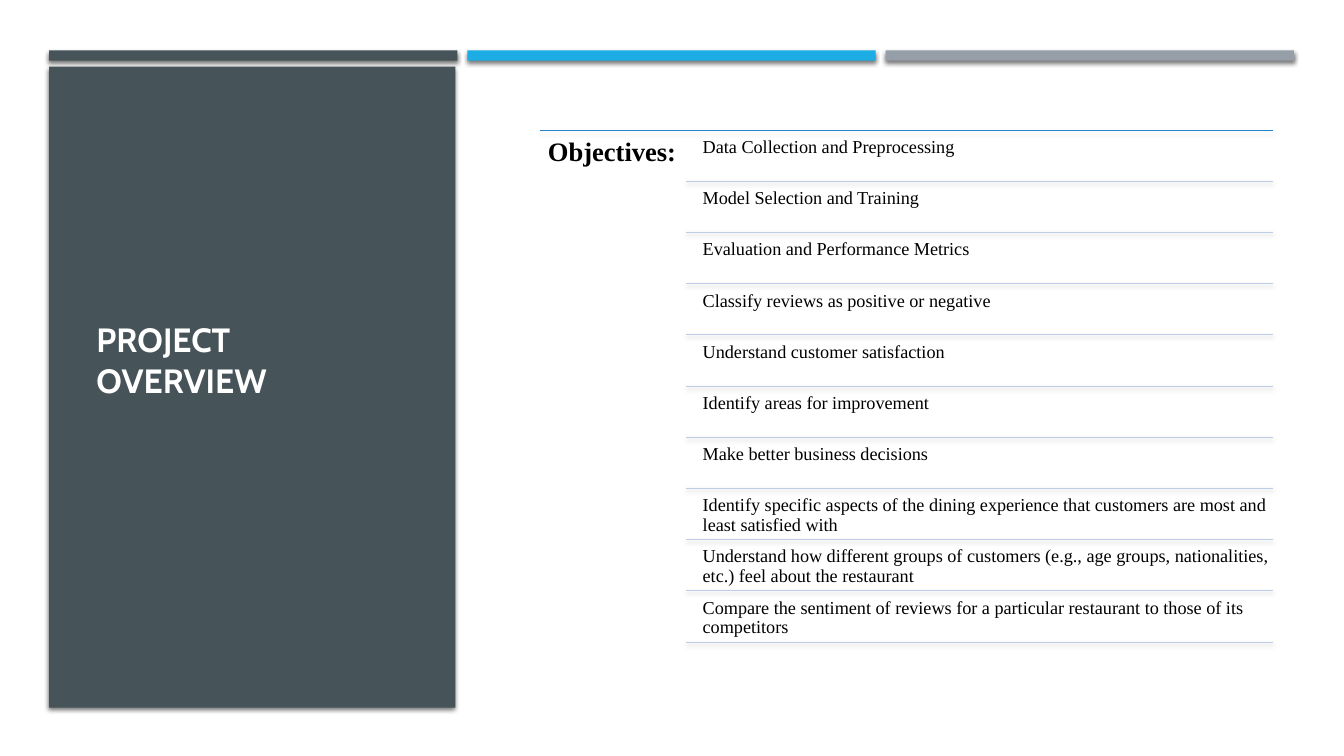
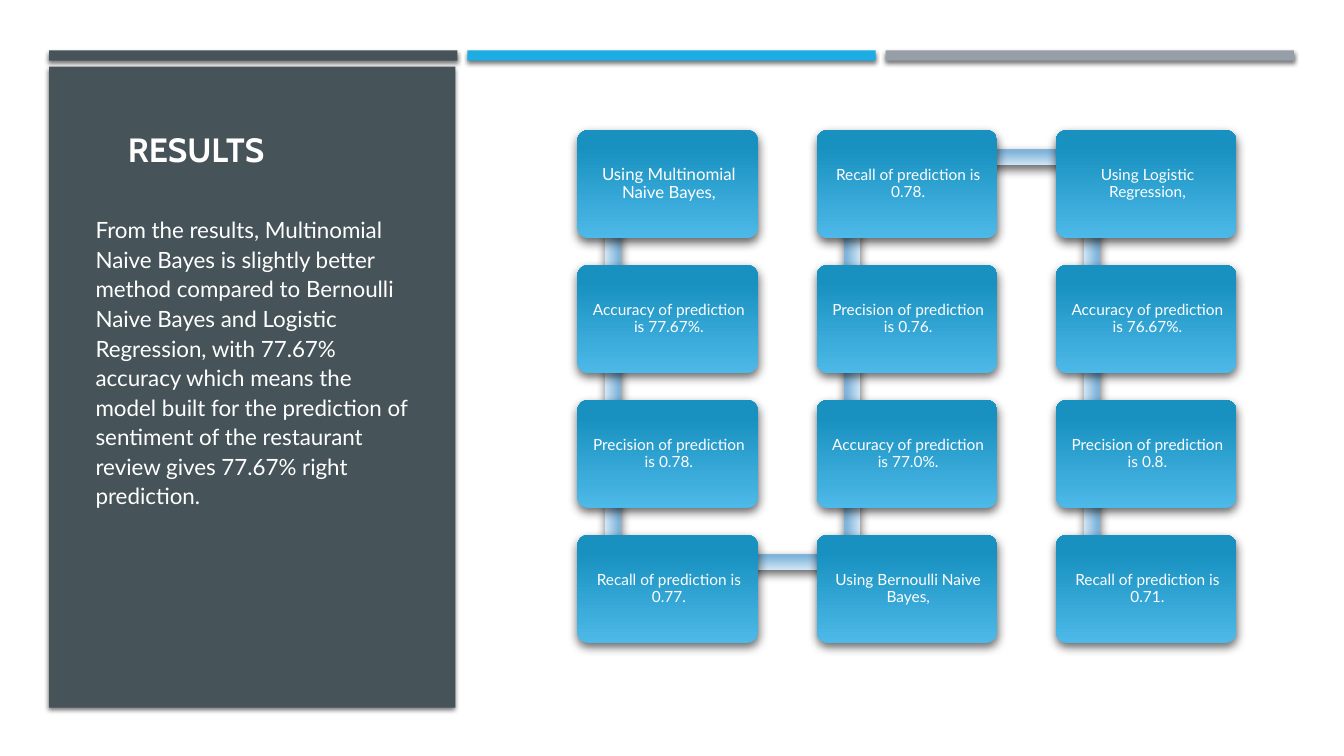
import math
from dataclasses import dataclass

import lxml.etree
import pptx
import pptx.dml.color
import pptx.enum.shapes
import pptx.enum.text
import pptx.oxml.ns
import pptx.util

Cm, Pt = pptx.util.Cm, pptx.util.Pt
RGB = pptx.dml.color.RGBColor.from_string
qn = pptx.oxml.ns.qn
SHAPE = pptx.enum.shapes.MSO_SHAPE
ALIGN = pptx.enum.text.PP_ALIGN
ANCHOR = pptx.enum.text.MSO_ANCHOR


@dataclass(frozen=True)
class TextStyle:
    font: str
    size: float
    color: str
    bold: bool = False
    align: ALIGN = ALIGN.LEFT
    spacing: float = 1.0
    before: float = 0
    after: float = 0


@dataclass(frozen=True)
class Shadow:
    opacity: int  # percent
    blur: float   # points
    dist: float   # points
    angle: int    # degrees


# Colours, type sizes and effects
class Theme:
    slate, blue, grey = "465359", "1CADE4", "969FA7"
    top_rule, row_rule = "2683C6", "BECDE5"
    box_fill = ("4DB9E8", "1891C0")
    bar_fill = ("D1E6F6", "80B4DA")
    title = TextStyle("Cabin", 24, "FFFFFF", bold=True)
    body = TextStyle("Lato", 16, "FFFFFF", spacing=1.1, before=3.2, after=6)
    heading = TextStyle("Times New Roman", 19, "000000", bold=True, spacing=0.9, after=6.7)
    row = TextStyle("Times New Roman", 13, "000000", spacing=0.9, after=4.6)
    first_box = TextStyle("Lato", 12, "FFFFFF", align=ALIGN.CENTER, spacing=0.9, after=4.2)
    box = TextStyle("Lato", 11, "FFFFFF", align=ALIGN.CENTER, spacing=0.9, after=3.9)
    frame_shadow = Shadow(55, 3, 2, 90)
    top_rule_shadow = Shadow(35, 3.1, 1.8, 90)
    row_rule_shadow = Shadow(38, 3.1, 1.6, 90)
    flow_shadow = Shadow(60, 7, 3, 84)


OBJECTIVES = [
    "Data Collection and Preprocessing",
    "Model Selection and Training",
    "Evaluation and Performance Metrics",
    "Classify reviews as positive or negative",
    "Understand customer satisfaction",
    "Identify areas for improvement",
    "Make better business decisions",
    "Identify specific aspects of the dining experience that customers are most "
    "and least satisfied with",
    "Understand how different groups of customers (e.g., age groups, "
    "nationalities, etc.) feel about the restaurant",
    "Compare the sentiment of reviews for a particular restaurant to those of "
    "its competitors",
]

CONCLUSION = (
    "From the results, Multinomial Naive Bayes is slightly better method compared "
    "to Bernoulli Naive Bayes and Logistic Regression, with 77.67% accuracy which "
    "means the model built for the prediction of sentiment of the restaurant review "
    "gives 77.67% right prediction."
)

# Method, accuracy, precision, recall
RESULTS = [
    ("Multinomial Naive Bayes", "77.67%", "0.78", "0.77"),
    ("Bernoulli Naive Bayes", "77.0%", "0.76", "0.78"),
    ("Logistic Regression", "76.67%", "0.8", "0.71"),
]


# Element helpers
def set_shadow(shape, shadow):
    effects = lxml.etree.SubElement(shape._element.spPr, qn("a:effectLst"))
    outer = lxml.etree.SubElement(
        effects, qn("a:outerShdw"), blurRad=str(Pt(shadow.blur)),
        dist=str(Pt(shadow.dist)), dir=str(shadow.angle * 60000), rotWithShape="0")
    color = lxml.etree.SubElement(outer, qn("a:srgbClr"), val="000000")
    lxml.etree.SubElement(color, qn("a:alpha"), val=str(shadow.opacity * 1000))


def set_text(tf, text, style, anchor=ANCHOR.TOP, insets=(0.25, 0.13, 0.25, 0.13)):
    tf.word_wrap = True
    tf.auto_size = pptx.enum.text.MSO_AUTO_SIZE.NONE
    tf.vertical_anchor = anchor
    tf.margin_left, tf.margin_top, tf.margin_right, tf.margin_bottom = map(Cm, insets)
    p = tf.paragraphs[0]
    p.alignment, p.line_spacing = style.align, style.spacing
    p.space_before, p.space_after = Pt(style.before), Pt(style.after)
    r = p.add_run()
    r.text = text
    r.font.name, r.font.size, r.font.bold = style.font, Pt(style.size), style.bold
    r.font.color.rgb = RGB(style.color)


def add_text(s, left, top, width, height, text, style, **options):
    sp = s.shapes.add_textbox(Cm(left), Cm(top), Cm(width), Cm(height))
    set_text(sp.text_frame, text, style, **options)


def add_block(s, kind, left, top, width, height, fill, shadow):
    """Add a borderless shape; a pair of colours gives a gradient from the bottom up."""
    sp = s.shapes.add_shape(kind, Cm(left), Cm(top), Cm(width), Cm(height))
    if isinstance(fill, str):
        sp.fill.solid()
        sp.fill.fore_color.rgb = RGB(fill)
    else:
        sp.fill.gradient()
        sp.fill.gradient_angle = 90
        for stop, color, position in zip(sp.fill.gradient_stops, fill, (0, 0.84)):
            stop.color.rgb = RGB(color)
            stop.position = position
    sp.line.fill.background()
    set_shadow(sp, shadow)
    return sp


def add_rule(s, left, right, y, color, shadow):
    line = s.shapes.add_connector(
        pptx.enum.shapes.MSO_CONNECTOR.STRAIGHT, Cm(left), Cm(y), Cm(right), Cm(y))
    line.line.color.rgb = RGB(color)
    line.line.width = Pt(0.75)
    set_shadow(line, shadow)


def add_flow_bar(s, start, end, thickness=0.41):
    (x1, y1), (x2, y2) = start, end
    length = math.hypot(x2 - x1, y2 - y1)
    left, top = (x1 + x2 - length) / 2, (y1 + y2 - thickness) / 2
    bar = add_block(s, SHAPE.RECTANGLE, left, top, length, thickness,
                    Theme.bar_fill, Theme.flow_shadow)
    bar.rotation = math.degrees(math.atan2(y2 - y1, x2 - x1)) % 360


# Shared frame: three bands and the side panel, kept on the layout
def build_frame(s):
    bands = [
        add_block(s, SHAPE.RECTANGLE, 1.24 + i * 10.54, 1.27, 10.29, 0.26,
                  color, Theme.frame_shadow)
        for i, color in enumerate((Theme.slate, Theme.blue, Theme.grey))
    ]
    panel = add_block(s, SHAPE.RECTANGLE, 1.24, 1.68, 10.24, 16.15,
                      Theme.slate, Theme.frame_shadow)
    tree = s.slide_layout.shapes._spTree
    for i, sp in enumerate(bands + [panel]):
        tree.insert(2 + i, sp._element)


def add_slide(prs, title, left, top, height):
    s = prs.slides.add_slide(prs.slide_layouts[5])
    sp = s.shapes.title
    sp.left, sp.top, sp.width, sp.height = Cm(left), Cm(top), Cm(7.6), Cm(height)
    set_text(sp.text_frame, title, Theme.title, anchor=ANCHOR.BOTTOM)
    return s


# Slide content
def add_objectives(s):
    left, indent, right, top, pitch = 13.61, 17.3, 32.08, 3.28, 1.29
    add_rule(s, left, right, top, Theme.top_rule, Theme.top_rule_shadow)
    add_text(s, left, top, 3.75, 12.9, "Objectives:", Theme.heading, insets=(0.2,) * 4)
    for i, objective in enumerate(OBJECTIVES):
        y = top + i * pitch
        add_text(s, indent + 0.28, y + 0.06, right - indent - 0.28, 1.22,
                 objective, Theme.row, insets=(0.13,) * 4)
        add_rule(s, indent, right, y + pitch, Theme.row_rule, Theme.row_rule_shadow)


def add_results_flow(s):
    left, top, col_pitch, row_pitch, rows = 14.55, 3.28, 6.03, 3.4, 4
    steps = []
    for method, accuracy, precision, recall in RESULTS:
        steps += [f"Using {method},", f"Accuracy of prediction is {accuracy}.",
                  f"Precision of prediction is {precision}.",
                  f"Recall of prediction is {recall}."]

    # The chain runs down one column and up the next
    corners = []
    for i in range(len(steps)):
        col, row = divmod(i, rows)
        if col % 2:
            row = rows - 1 - row
        corners.append((left + col * col_pitch, top + row * row_pitch))
    anchors = [(x + 0.9, y + 0.68) for x, y in corners]

    for i, (step, (x, y)) in enumerate(zip(steps, corners)):
        if i + 1 < len(steps):
            add_flow_bar(s, anchors[i], anchors[i + 1])
        box = add_block(s, SHAPE.ROUNDED_RECTANGLE, x, y, 4.55, 2.72,
                        Theme.box_fill, Theme.flow_shadow)
        box.adjustments[0] = 0.1
        set_text(box.text_frame, step, Theme.box if i else Theme.first_box,
                 anchor=ANCHOR.MIDDLE, insets=(0.2, 0.2, 0.13, 0.2))


def main():
    prs = pptx.Presentation()
    prs.slide_width, prs.slide_height = Cm(33.87), Cm(19.05)

    s = add_slide(prs, "PROJECT OVERVIEW", 2.18, 8.05, 2.16)
    build_frame(s)
    add_objectives(s)

    s = add_slide(prs, "RESULTS", 2.97, 3.15, 1.24)
    add_text(s, 2.16, 5.26, 8.43, 12.5, CONCLUSION, Theme.body)
    add_results_flow(s)

    prs.save("out.pptx")


if __name__ == "__main__":
    main()
